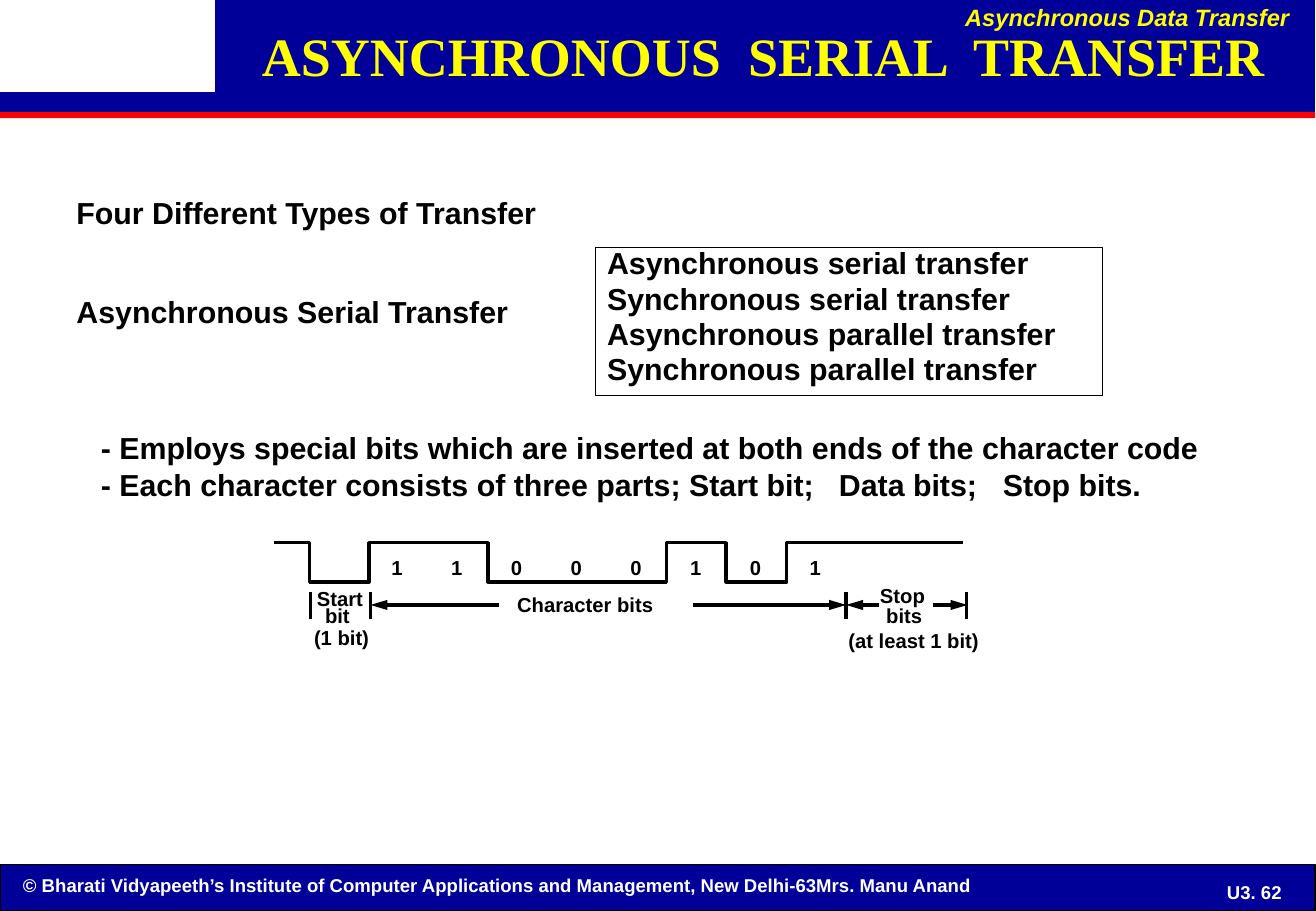
import pptx
import pptx.dml.color
import pptx.enum.shapes
import pptx.enum.text
import pptx.oxml.ns
import pptx.util
from lxml import etree

Cm = pptx.util.Cm
Pt = pptx.util.Pt
ALIGN = pptx.enum.text.PP_ALIGN
ANCHOR = pptx.enum.text.MSO_ANCHOR

BLUE, RED, YELLOW = "000099", "FF0000", "FFFF00"
BLACK, WHITE = "000000", "FFFFFF"

# Heights of the timing diagram, in cm
HIGH, LOW = 11.35, 12.17
TICK_TOP, ARROW_LEVEL, TICK_BOTTOM = 12.37, 12.65, 12.95


def color(value):
    return pptx.dml.color.RGBColor.from_string(value)


def add_child(parent, tag, **attributes):
    return etree.SubElement(parent, pptx.oxml.ns.qn(tag), attributes)


def add_bar(page, left, top, width, height, fill=None, line=None, weight=0.75):
    bar = page.shapes.add_shape(pptx.enum.shapes.MSO_SHAPE.RECTANGLE,
                                Cm(left), Cm(top), Cm(width), Cm(height))
    bar.shadow.inherit = False
    if fill:
        bar.fill.solid()
        bar.fill.fore_color.rgb = color(fill)
    else:
        bar.fill.background()
    if line:
        bar.line.color.rgb = color(line)
        bar.line.width = Pt(weight)
    else:
        bar.line.fill.background()


def add_text(page, text, left, top, width, height=0.71, size=18, font="Arial",
             ink=BLACK, italic=False, align=ALIGN.LEFT, anchor=ANCHOR.TOP,
             spacing=0.9, gap=0, inset=(0.25, 0.13), tabs=(), first_indent=0):
    """Write one paragraph per line of text; gap is the points between them."""
    box = page.shapes.add_textbox(Cm(left), Cm(top), Cm(width), Cm(height))
    frame = box.text_frame
    frame.word_wrap = True
    frame.vertical_anchor = anchor
    frame.margin_left = frame.margin_right = Cm(inset[0])
    frame.margin_top = frame.margin_bottom = Cm(inset[1])
    for number, line in enumerate(text.split("\n")):
        para = frame.add_paragraph() if number else frame.paragraphs[0]
        para.alignment = align
        para.line_spacing = spacing
        properties = para._p.get_or_add_pPr()
        if number and gap:
            para.space_before = Pt(gap)
        if first_indent and not number:
            properties.set("indent", str(Cm(first_indent)))
        if tabs:
            stops = add_child(properties, "a:tabLst")
            for stop in tabs:
                add_child(stops, "a:tab", pos=str(Cm(stop)), algn="l")
        span = para.add_run()
        span.text = line
        span.font.name = font
        span.font.size = Pt(size)
        span.font.bold = True
        span.font.italic = italic
        span.font.color.rgb = color(ink)


def add_line(page, start, end, arrow=False):
    line = page.shapes.add_connector(
        pptx.enum.shapes.MSO_CONNECTOR.STRAIGHT,
        Cm(start[0]), Cm(start[1]), Cm(end[0]), Cm(end[1]))
    line.line.color.rgb = color(BLACK)
    line.line.width = Pt(2)
    if arrow:
        add_child(line.line._get_or_add_ln(), "a:tailEnd",
                  type="triangle", w="med", len="lg")
    add_child(line._element.spPr, "a:effectLst")


def add_waveform(page, edges):
    """Draw a signal that starts high and changes level at each inner edge."""
    points = [(edges[0], HIGH)]
    for number, edge in enumerate(edges[1:]):
        before, after = (LOW, HIGH) if number % 2 else (HIGH, LOW)
        points += [(edge, before), (edge, after)]
    points.pop()
    corners = [(Cm(x), Cm(y)) for x, y in points]
    builder = page.shapes.build_freeform(*corners[0])
    builder.add_line_segments(corners[1:], close=False)
    wave = builder.convert_to_shape()
    wave.shadow.inherit = False
    wave.fill.background()
    wave.line.color.rgb = color(BLACK)
    wave.line.width = Pt(2)


def add_frame(page):
    # Footer
    add_bar(page, 0, 18.08, 27.51, 0.97, fill=BLUE, line=BLACK)
    add_text(page, "© Bharati Vidyapeeth’s Institute of Computer Applications "
             "and Management, New Delhi-63Mrs. Manu Anand",
             0.23, 18.14, 25.27, size=11, ink=WHITE, spacing=1)
    add_text(page, "U3. 62", 25.02, 18.26, 2.44, 0.79, size=11, ink=WHITE,
             align=ALIGN.CENTER, anchor=ANCHOR.MIDDLE, spacing=1)
    # Header
    add_bar(page, 0, 2.34, 27.51, 0.13, fill=RED)
    add_bar(page, 4.5, 0, 23.01, 1.93, fill=BLUE)
    add_bar(page, 0, 1.93, 27.51, 0.41, fill=BLUE)
    add_text(page, "Asynchronous Data Transfer", 19, 0, 8.23, size=14,
             ink=YELLOW, italic=True, align=ALIGN.RIGHT)
    add_text(page, "ASYNCHRONOUS\tSERIAL\tTRANSFER", 5.23, 0, 22, 2.29,
             size=32, font="Times New Roman", ink=YELLOW,
             anchor=ANCHOR.MIDDLE, spacing=1, tabs=(10.17, 14.88))


def add_body(page):
    add_text(page, "Four Different Types of Transfer\n"
             "Asynchronous Serial Transfer", 1.35, 4.01, 11, 3, gap=39.5)
    add_text(page, "Asynchronous serial transfer\n"
             "Synchronous serial transfer\n"
             "Asynchronous parallel transfer\n"
             "Synchronous parallel transfer",
             12.52, 5.08, 9.75, 3.1, spacing=0.97, inset=(0.18, 0.08))
    add_bar(page, 12.45, 5.18, 10.62, 3.1, line=BLACK, weight=0.5)
    add_text(page, "- Employs special bits which are inserted at both ends "
             "of the character code\n"
             "- Each character consists of three parts; Start bit;"
             "\tData bits;\tStop bits.",
             1.93, 8.89, 24, 1.68, spacing=1.01, inset=(0.18, 0.08),
             tabs=(15.44, 18.87))


def add_timing_diagram(page):
    # Signal and its data bits
    add_waveform(page, (5.74, 6.48, 7.72, 10.21, 13.94, 15.19, 16.46, 20.14))
    for number, bit in enumerate("11000101"):
        add_text(page, bit, 7.94 + 1.25 * number, 11.53, 0.74, size=12)

    # Limits of the start, character and stop parts
    for tick in (6.5, 7.75, 17.7, 20.22):
        add_line(page, (tick, TICK_TOP), (tick, TICK_BOTTOM))
    for tail, head in ((10.44, 7.75), (14.5, 17.7), (18.39, 17.7), (19.51, 20.24)):
        add_line(page, (tail, ARROW_LEVEL), (head, ARROW_LEVEL), arrow=True)

    # Names of the parts
    for label, left, top, width in (("Start", 6.38, 12.19, 1.8),
                                    ("Character bits", 10.57, 12.32, 3.6),
                                    ("Stop", 18.16, 12.12, 1.8),
                                    ("bits", 18.29, 12.55, 1.8),
                                    ("(at least 1 bit)", 17.5, 13.06, 3.6)):
        add_text(page, label, left, top, width, size=12)
    add_text(page, "bit\n(1 bit)", 6.32, 12.55, 1.9, 1.17, size=12,
             first_indent=0.23)


def main():
    deck = pptx.Presentation()
    deck.slide_width = Cm(27.53)
    deck.slide_height = Cm(19.05)
    page = deck.slides.add_slide(deck.slide_layouts[6])
    add_frame(page)
    add_body(page)
    add_timing_diagram(page)
    deck.save("out.pptx")


if __name__ == "__main__":
    main()
